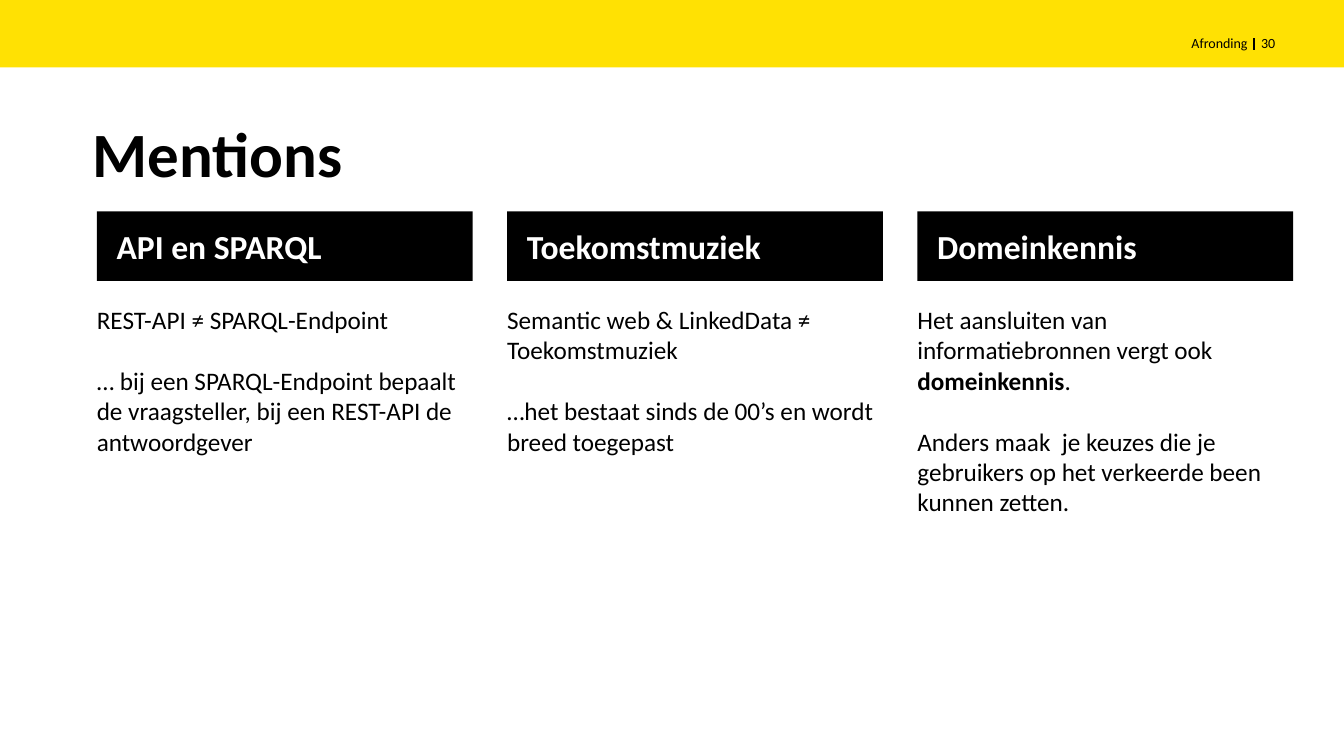
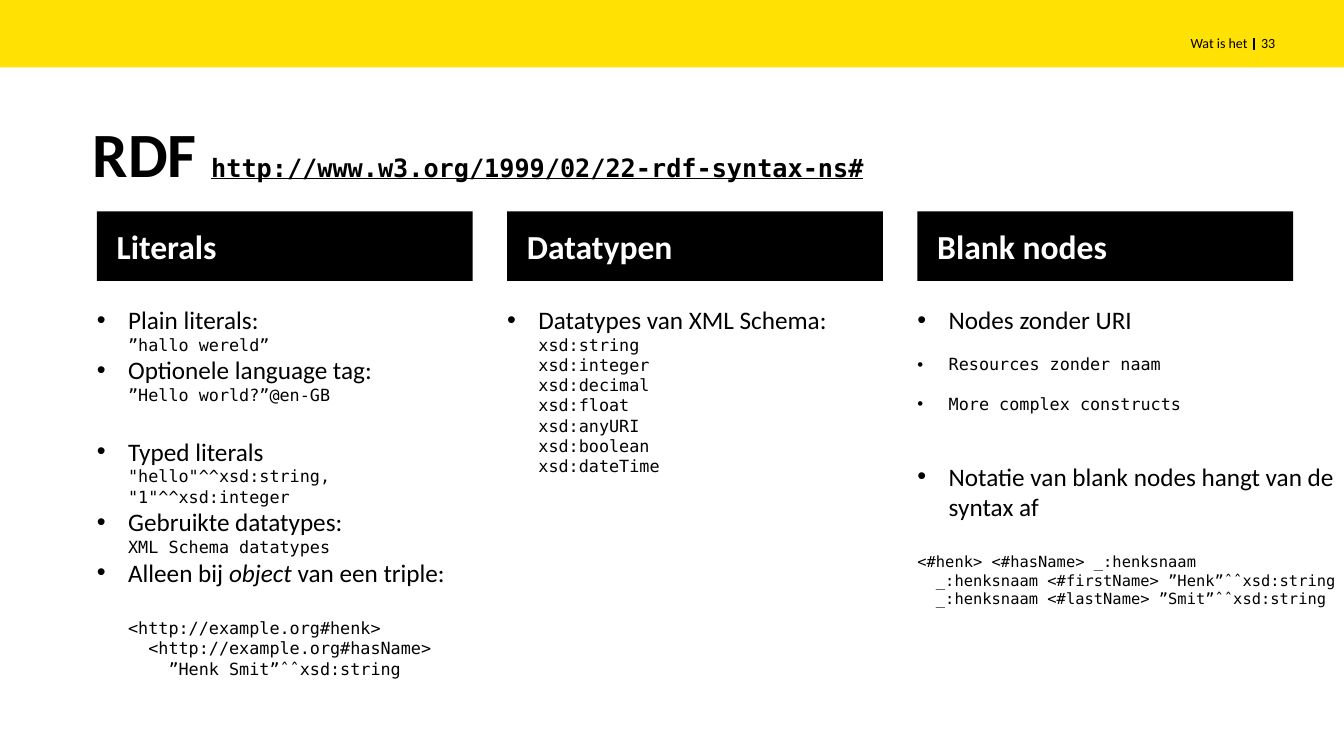
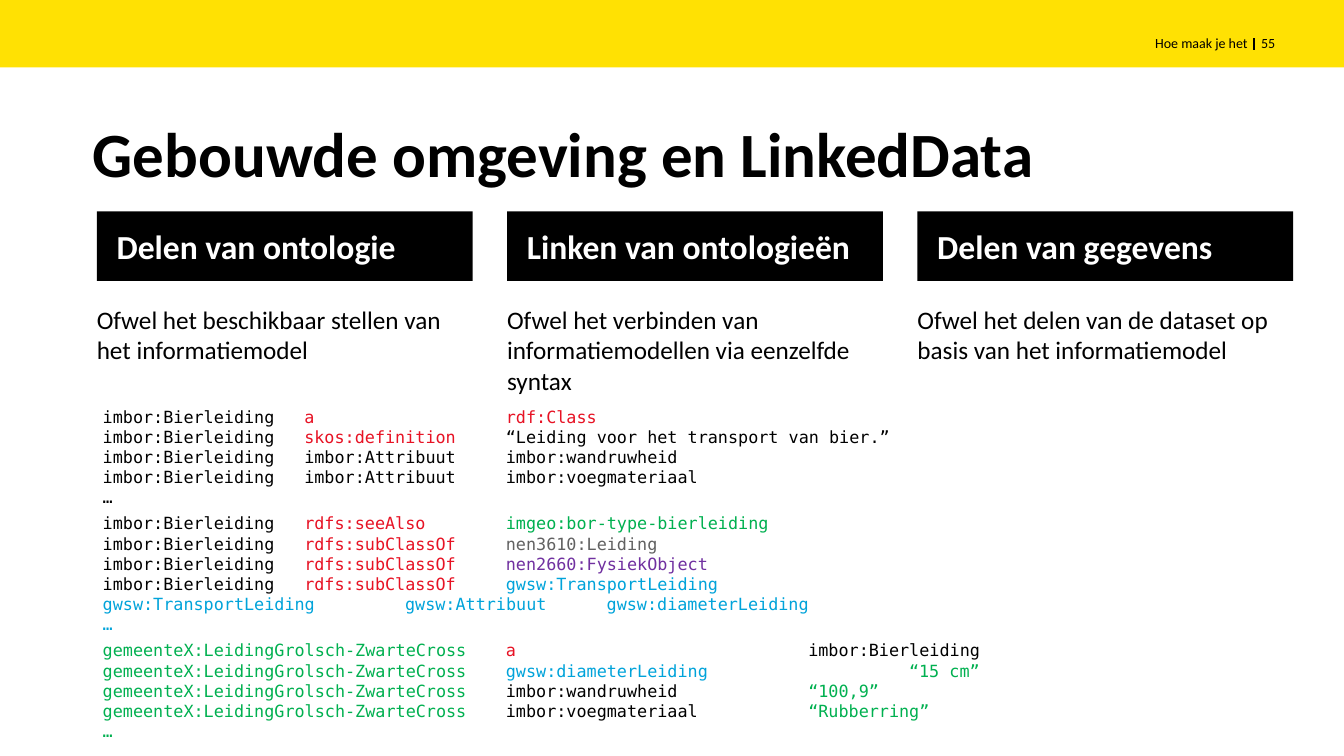
from dataclasses import dataclass, field

from lxml.etree import SubElement
from pptx import Presentation
from pptx.dml.color import RGBColor
from pptx.enum.shapes import MSO_CONNECTOR, MSO_SHAPE
from pptx.enum.text import MSO_ANCHOR, MSO_AUTO_SIZE, PP_ALIGN
from pptx.oxml.ns import qn
from pptx.util import Cm, Pt


@dataclass(frozen=True)
class Theme:
    sans: str = "Calibri"
    mono: str = "DejaVu Sans Mono"
    # Colours
    yellow: str = "FFE103"
    black: str = "000000"
    white: str = "FFFFFF"
    red: str = "E71224"
    green: str = "00B050"
    grey: str = "616161"
    purple: str = "7030A0"
    blue: str = "00A3DA"
    # Type sizes and paragraph gaps, in points
    title: int = 45
    heading: int = 24
    body: int = 18
    code: int = 12
    small_code: int = 11
    header: int = 10
    blank_line: int = 22
    sub_gap: int = 14
    section_gap: float = 33.5


@dataclass(frozen=True)
class Box:
    left: float
    top: float
    width: float
    height: float

    def lengths(self):
        return [Cm(v) for v in (self.left, self.top, self.width, self.height)]


@dataclass
class Para:
    runs: list
    before: float = 0
    bullet: bool = False
    indent: float = 0
    tabs: tuple = ()
    format: dict = field(default_factory=dict)


T = Theme()
SLIDE = Box(0, 0, 33.87, 19.05)
BAND = Box(0, 0, SLIDE.width, 1.7)
TITLE = Box(2.34, 3.02, 30.18, 1.88)
COLUMN = Box(2.44, 5.33, 9.47, 1.75)
COLUMN_STEP = 10.34
BODY_DROP, BODY_HEIGHT = 2.34, 10.01
BULLET_INDENT = 0.79
TAB_UNIT = 2.54
CODE_LINE = 0.5
NO_INSETS = (0, 0, 0, 0)


# Text building blocks
def run(text, size=T.body, name=T.sans, color=T.black, **style):
    return text, color, dict(size=Pt(size), name=name, **style)


def mono(text, size=T.code, color=T.black, **style):
    return run(text, size, T.mono, color, **style)


def plain(text, before=0):
    return Para([run(text)], before)


def bullet(*runs, before=0):
    return Para(list(runs), before, True, BULLET_INDENT)


def code(text, before=0):
    return Para([mono(text)], before, indent=BULLET_INDENT)


def triple(stops, *cells):
    """One row of code; each cell is (text, colour), stops count tab units."""
    runs = [mono(("\t" if i else "") + text, color=color)
            for i, (text, color) in enumerate(cells)]
    return Para(runs, tabs=stops)


def write(frame, paras, insets=NO_INSETS, anchor=MSO_ANCHOR.TOP):
    left, top, right, bottom = (Cm(v) for v in insets)
    settings = dict(word_wrap=True, auto_size=MSO_AUTO_SIZE.NONE, vertical_anchor=anchor,
                    margin_left=left, margin_top=top, margin_right=right, margin_bottom=bottom)
    for key, value in settings.items():
        setattr(frame, key, value)
    for i, para in enumerate(paras):
        paragraph = frame.add_paragraph() if i else frame.paragraphs[0]
        props = paragraph._p.get_or_add_pPr()
        if para.indent:
            props.set("marL", str(Cm(para.indent)))
            props.set("indent", str(-Cm(para.indent) if para.bullet else 0))
        if para.bullet:
            SubElement(props, qn("a:buFont"), typeface="Arial")
            SubElement(props, qn("a:buChar"), char="•")
        if para.tabs:
            tab_list = SubElement(props, qn("a:tabLst"))
            for stop in para.tabs:
                SubElement(tab_list, qn("a:tab"), pos=str(Cm(stop * TAB_UNIT)), algn="l")
        layout = dict(alignment=PP_ALIGN.LEFT, space_before=Pt(para.before)) | para.format
        for key, value in layout.items():
            setattr(paragraph, key, value)
        for text, color, style in para.runs:
            piece = paragraph.add_run()
            piece.text = text
            piece.font.color.rgb = RGBColor.from_string(color)
            for key, value in style.items():
                setattr(piece.font, key, value)


# Shape helpers
def add_text(slide, box, paras, **options):
    write(slide.shapes.add_textbox(*box.lengths()).text_frame, paras, **options)


def add_block(slide, box, color):
    block = slide.shapes.add_shape(MSO_SHAPE.RECTANGLE, *box.lengths())
    block.shadow.inherit = False
    block.fill.solid()
    block.fill.fore_color.rgb = RGBColor.from_string(color)
    block.line.fill.background()
    return block


# Regions
def add_header(slide, box, section, number):
    add_block(slide, box, T.yellow)
    divider_x = box.left + 31.6
    divider = slide.shapes.add_connector(MSO_CONNECTOR.STRAIGHT, Cm(divider_x), Cm(box.top + 0.97),
                                         Cm(divider_x), Cm(box.top + 1.27))
    divider.line.color.rgb = RGBColor.from_string(T.black)
    divider.line.width = Pt(1)
    SubElement(divider._element.spPr, qn("a:effectLst"))
    labels = [(section, divider_x - 14.66, 14.5, PP_ALIGN.RIGHT),
              (number, divider_x + 0.18, 1.47, PP_ALIGN.LEFT)]
    for text, left, width, align in labels:
        add_text(slide, Box(left, box.top + 0.66, width, 0.86),
                 [Para([run(text, T.header)], format=dict(alignment=align))],
                 anchor=MSO_ANCHOR.MIDDLE)


def add_title(slide, box, runs):
    title = slide.shapes.title
    title.left, title.top, title.width, title.height = box.lengths()
    write(title.text_frame, [Para(runs, format=dict(line_spacing=0.9))],
          anchor=MSO_ANCHOR.MIDDLE)


def add_column(slide, box, heading, paras, body_width=None):
    bar = add_block(slide, box, T.black)
    write(bar.text_frame, [Para([run(heading, T.heading, color=T.white, bold=True)])],
          insets=(0.5, 0, 0.5, 0), anchor=MSO_ANCHOR.MIDDLE)
    body = Box(box.left, box.top + BODY_DROP, body_width or box.width, BODY_HEIGHT)
    add_text(slide, body, paras)


def add_code(slide, left, top, rows):
    box = Box(left, top, 31.47, len(rows) * CODE_LINE + 0.26)
    add_text(slide, box, rows, insets=(0.25, 0.13, 0.25, 0.13))


def add_column_slide(deck, section, number, title_runs, columns):
    slide = deck.slides.add_slide(deck.slide_layouts[5])
    add_header(slide, BAND, section, number)
    add_title(slide, TITLE, title_runs)
    for i, column in enumerate(columns):
        box = Box(COLUMN.left + i * COLUMN_STEP, COLUMN.top, COLUMN.width, COLUMN.height)
        add_column(slide, box, *column)
    return slide


def title_run(text):
    return run(text, T.title, bold=True)


# Slides
def mentions_slide(deck):
    add_column_slide(deck, "Afronding", "30", [title_run("Mentions")], [
        ("API en SPARQL", [
            plain("REST-API ≠ SPARQL-Endpoint"),
            plain("… bij een SPARQL-Endpoint bepaalt de vraagsteller, "
                  "bij een REST-API de antwoordgever", T.blank_line)]),
        ("Toekomstmuziek", [
            plain("Semantic web & LinkedData ≠ Toekomstmuziek"),
            plain("…het bestaat sinds de 00’s en wordt breed toegepast", T.blank_line)]),
        ("Domeinkennis", [
            Para([run("Het aansluiten van informatiebronnen vergt ook "),
                  run("domeinkennis", bold=True), run(".")]),
            plain("Anders maak  je keuzes die je gebruikers op het verkeerde been "
                  "kunnen zetten.", T.blank_line)]),
    ])


def rdf_slide(deck):
    title = [title_run("RDF "),
             mono("http://www.w3.org/1999/02/22-rdf-syntax-ns#", T.body, bold=True, underline=True)]
    literals = [
        bullet(run("Plain literals:")),
        code("”hallo wereld”"),
        bullet(run("Optionele language tag:")),
        code("”Hello world?”@en-GB"),
        bullet(run("Typed literals"), before=T.blank_line),
        code('"hello"^^xsd:string, "1"^^xsd:integer'),
        bullet(run("Gebruikte datatypes:")),
        code("XML Schema datatypes"),
        bullet(run("Alleen bij "), run("object ", italic=True), run("van een triple:")),
        code("<http://example.org#henk>", T.blank_line),
        code("  <http://example.org#hasName>"),
        code("    ”Henk Smit”ˆˆxsd:string"),
    ]
    types = ["string", "integer", "decimal", "float", "anyURI", "boolean", "dateTime"]
    datatypes = [bullet(run("Datatypes van XML Schema:"))] + [code(f"xsd:{t}") for t in types]
    notation = ["<#henk> <#hasName> _:henksnaam",
                "  _:henksnaam <#firstName> ”Henk”ˆˆxsd:string",
                "  _:henksnaam <#lastName> ”Smit”ˆˆxsd:string"]
    blank_nodes = [
        bullet(run("Nodes zonder URI")),
        bullet(mono("Resources zonder naam"), before=T.sub_gap),
        bullet(mono("More complex constructs"), before=T.sub_gap),
        bullet(run("Notatie van blank nodes hangt van de syntax af"), before=T.section_gap),
    ] + [Para([mono(line, T.small_code)], 0 if i else T.blank_line)
         for i, line in enumerate(notation)]
    add_column_slide(deck, "Wat is het", "33", title, [
        ("Literals", literals),
        ("Datatypen", datatypes),
        ("Blank nodes", blank_nodes, 10.74),
    ])


def linked_data_slide(deck):
    slide = add_column_slide(
        deck, "Hoe maak je het", "55", [title_run("Gebouwde omgeving en LinkedData")], [
            ("Delen van ontologie",
             [plain("Ofwel het beschikbaar stellen van het informatiemodel")]),
            ("Linken van ontologieën",
             [plain("Ofwel het verbinden van informatiemodellen via eenzelfde syntax")]),
            ("Delen van gegevens",
             [plain("Ofwel het delen van de dataset op basis van het informatiemodel")]),
        ])
    # Each row: predicate, its colour, object, its colour
    pipe = ("imbor:Bierleiding", T.black)
    definition = [
        ("a", T.red, "rdf:Class", T.red),
        ("skos:definition", T.red, "“Leiding voor het transport van bier.”", T.black),
        ("imbor:Attribuut", T.black, "imbor:wandruwheid", T.black),
        ("imbor:Attribuut", T.black, "imbor:voegmateriaal", T.black),
    ]
    links = [
        ("rdfs:seeAlso", T.red, "imgeo:bor-type-bierleiding", T.green),
        ("rdfs:subClassOf", T.red, "nen3610:Leiding", T.grey),
        ("rdfs:subClassOf", T.red, "nen2660:FysiekObject", T.purple),
        ("rdfs:subClassOf", T.red, "gwsw:TransportLeiding", T.blue),
    ]
    instance = ("gemeenteX:LeidingGrolsch-ZwarteCross", T.green)
    data = [
        ("a", T.red, "imbor:Bierleiding", T.black),
        ("gwsw:diameterLeiding", T.blue, "“15 cm”", T.green),
        ("imbor:wandruwheid", T.black, "“100,9”", T.green),
        ("imbor:voegmateriaal", T.black, "“Rubberring”", T.green),
    ]

    def rows(subject, facts, stops, wide_stops=None):
        return [triple(wide_stops if wide_stops and p.startswith("gwsw") else stops,
                       subject, (p, p_color), (o, o_color))
                for p, p_color, o, o_color in facts]

    def more(color):
        return [triple((), ("…", color))]

    attribute = triple((3, 5), ("gwsw:TransportLeiding", T.blue),
                       ("gwsw:Attribuut", T.blue), ("gwsw:diameterLeiding", T.blue))
    blocks = [
        (10.11, rows(pipe, definition, (2, 4)) + more(T.black)),
        (12.8, rows(pipe, links, (2, 4)) + [attribute] + more(T.blue)),
        (16, rows(instance, data, (4, 7), (4, 8)) + more(T.green)),
    ]
    for top, lines in blocks:
        add_code(slide, TITLE.left, top, lines)


def main():
    deck = Presentation()
    deck.slide_width, deck.slide_height = Cm(SLIDE.width), Cm(SLIDE.height)
    for build in (mentions_slide, rdf_slide, linked_data_slide):
        build(deck)
    deck.save("out.pptx")


if __name__ == "__main__":
    main()
